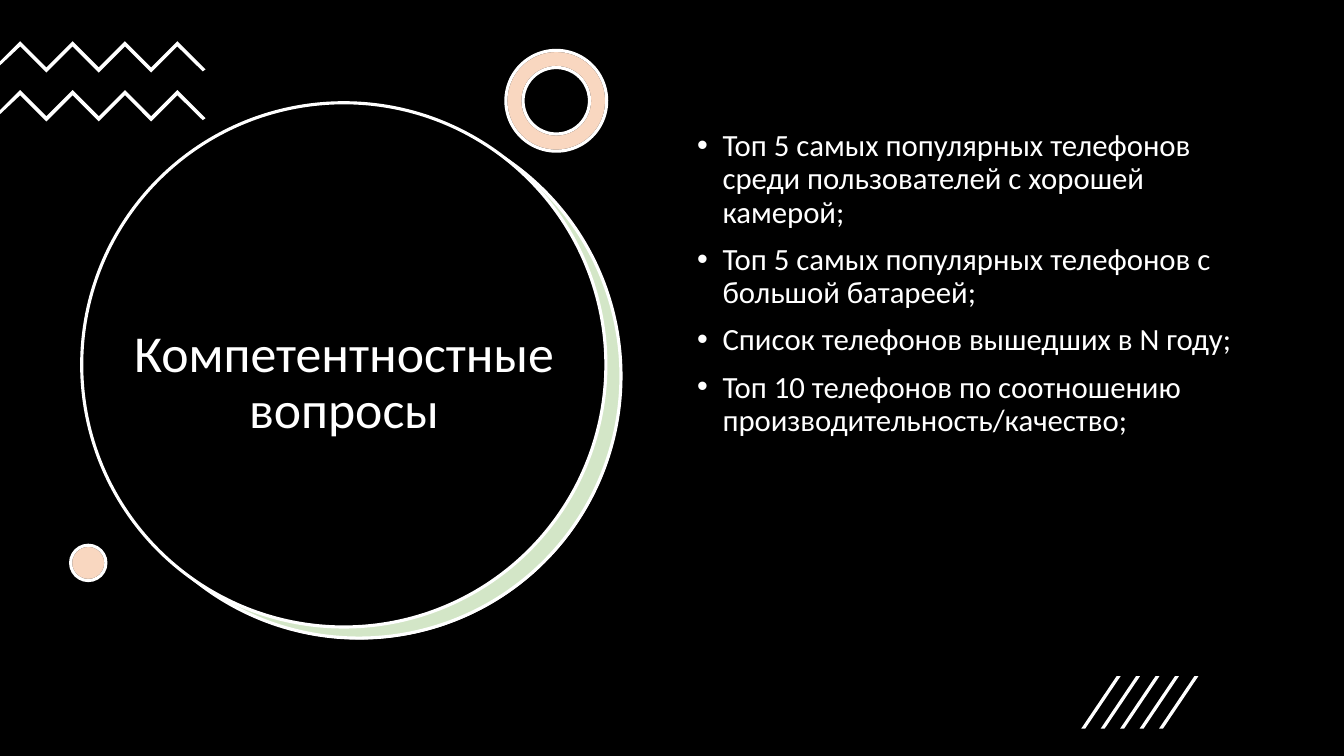
from lxml import etree
from pptx import Presentation
from pptx.dml.color import RGBColor
from pptx.enum import shapes, text
from pptx.oxml.ns import qn
from pptx.util import Cm, Pt

BLACK = RGBColor(0x00, 0x00, 0x00)
WHITE = RGBColor(0xFF, 0xFF, 0xFF)
GREEN = RGBColor(0x70, 0xAD, 0x47)
ORANGE = RGBColor(0xED, 0x7D, 0x31)
OVAL = shapes.MSO_SHAPE.OVAL
DONUT = shapes.MSO_SHAPE.DONUT

QUESTIONS = [
    "Топ 5 самых популярных телефонов среди пользователей с хорошей камерой;",
    "Топ 5 самых популярных телефонов с большой батареей;",
    "Список телефонов вышедших в N году;",
    "Топ 10 телефонов по соотношению производительность/качество;",
]


def style(sp, fill, line=None, alpha=None):
    """Set fill and outline; alpha is the fill opacity in percent."""
    sp.shadow.inherit = False
    sp.fill.solid()
    sp.fill.fore_color.rgb = fill
    if alpha is not None:
        clr = sp.fill._xPr.find(qn("a:solidFill"))[0]
        etree.SubElement(clr, qn("a:alpha"), val=str(alpha * 1000))
    if line is None:
        sp.line.fill.background()
    else:
        sp.line.color.rgb = line
        sp.line.width = Pt(2.25)


def add_round(s, kind, x, y, size, fill, line=None, alpha=None):
    sp = s.shapes.add_shape(kind, Cm(x), Cm(y), Cm(size), Cm(size))
    if kind == DONUT:
        sp.adjustments[0] = 0.17
    style(sp, fill, line, alpha)


def add_tinted(s, kind, x, y, size):
    """Orange tint laid over a white base with a black outline."""
    add_round(s, kind, x, y, size, WHITE, BLACK)
    add_round(s, kind, x, y, size, ORANGE, WHITE, 30)


def add_polygon(parent, points):
    pts = [(Cm(x), Cm(y)) for x, y in points]
    fb = parent.shapes.build_freeform(*pts[0])
    fb.add_line_segments(pts[1:], close=True)
    style(fb.convert_to_shape(), WHITE)


def add_zigzag(grp, top):
    peaks = [(0.51 + 0.66 * i, top + 0.66 * (i % 2)) for i in range(7)]
    lower = [(x, y + 0.13) for x, y in reversed(peaks)]
    right = [(5.18, top + 0.71), (5.11, top + 0.76)]
    left = [(0, top + 0.61), (0, top + 0.51)]
    add_polygon(grp, peaks + right + lower + left)


def add_slash(grp, x):
    top, bottom = 17.04, 18.36
    add_polygon(grp, [(x + 0.1, bottom), (x, bottom),
                      (x + 0.89, top), (x + 0.99, top)])


def add_bullet(p):
    pPr = p._p.get_or_add_pPr()
    pPr.set("marL", str(Cm(0.64)))
    pPr.set("indent", str(-Cm(0.64)))
    etree.SubElement(pPr, qn("a:buFont"), typeface="Arial")
    etree.SubElement(pPr, qn("a:buChar"), char="•")


def add_text(s, lines, x, y, w, h, size, align=text.PP_ALIGN.LEFT,
             anchor=text.MSO_ANCHOR.TOP, bullets=False):
    tf = s.shapes.add_textbox(Cm(x), Cm(y), Cm(w), Cm(h)).text_frame
    tf.word_wrap = True
    tf.vertical_anchor = anchor
    for i, line in enumerate(lines):
        p = tf.add_paragraph() if i else tf.paragraphs[0]
        p.alignment = align
        p.line_spacing = 0.9
        if i:
            p.space_before = Pt(10)
        if bullets:
            add_bullet(p)
        r = p.add_run()
        r.text = line
        r.font.name = "Calibri"
        r.font.size = Pt(size)
        r.font.color.rgb = WHITE


def main():
    prs = Presentation()
    prs.slide_width, prs.slide_height = Cm(33.87), Cm(19.05)
    s = prs.slides.add_slide(prs.slide_layouts[6])

    backdrop = s.shapes.add_shape(shapes.MSO_SHAPE.RECTANGLE, 0, 0,
                                  prs.slide_width, prs.slide_height)
    style(backdrop, BLACK)

    add_round(s, OVAL, 2.46, 2.9, 13.21, WHITE)
    add_round(s, OVAL, 2.44, 2.87, 13.21, GREEN, WHITE, 30)
    add_round(s, OVAL, 2.06, 2.59, 13.21, BLACK, WHITE)
    add_text(s, ["Компетентностные вопросы"], 3.07, 5.21, 11.2, 8.94, 37,
             align=text.PP_ALIGN.CENTER, anchor=text.MSO_ANCHOR.MIDDLE)

    zigzags = s.shapes.add_group_shape()
    for top in (1.04, 2.27):
        add_zigzag(zigzags, top)

    add_tinted(s, DONUT, 12.75, 1.27, 2.54)
    add_tinted(s, OVAL, 1.78, 13.74, 0.89)

    add_text(s, QUESTIONS, 17.32, 3.15, 14.5, 12.09, 22, bullets=True)

    slashes = s.shapes.add_group_shape()
    for i in range(5):
        add_slash(slashes, 27.25 + 0.49 * i)

    prs.save("out.pptx")


if __name__ == "__main__":
    main()
